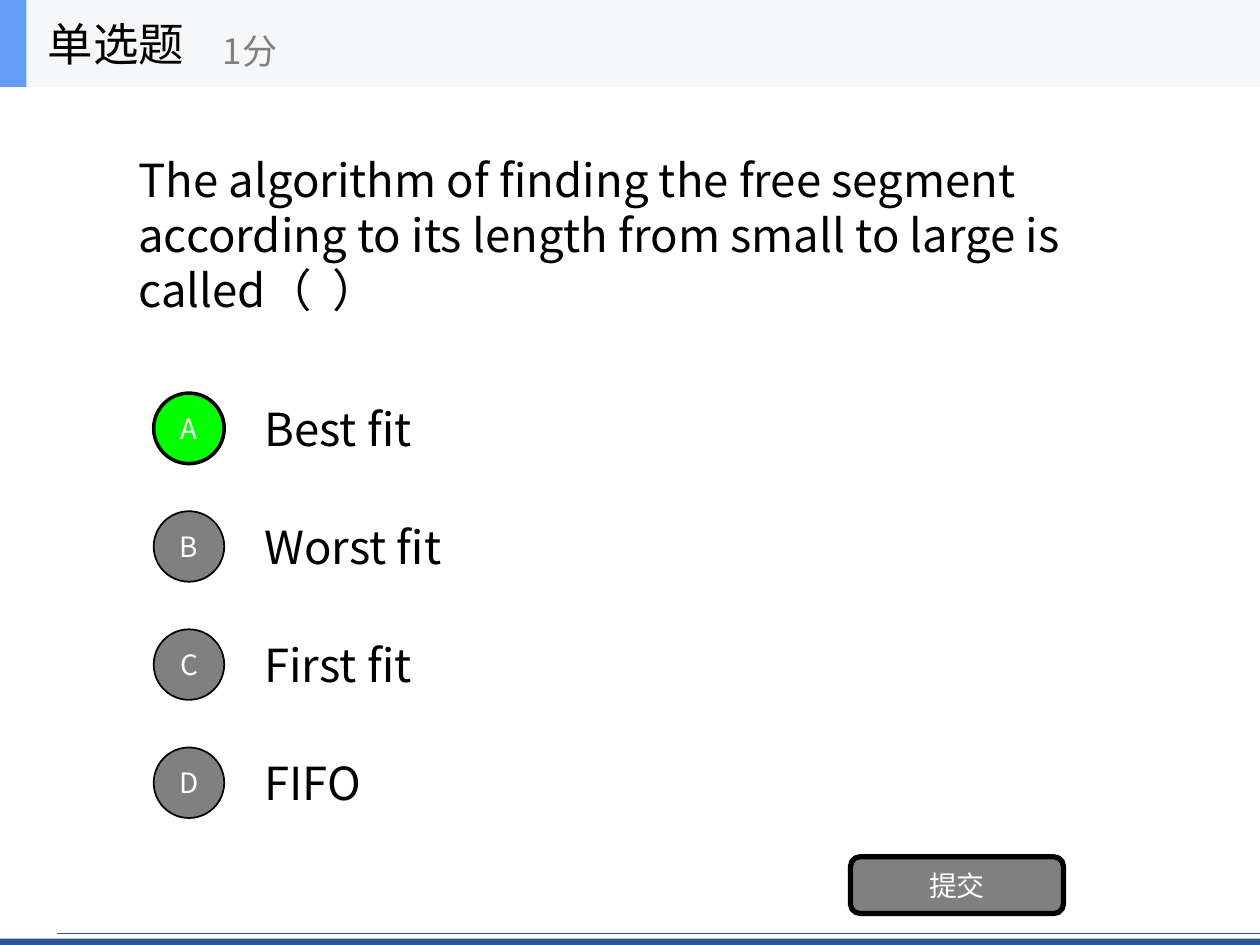
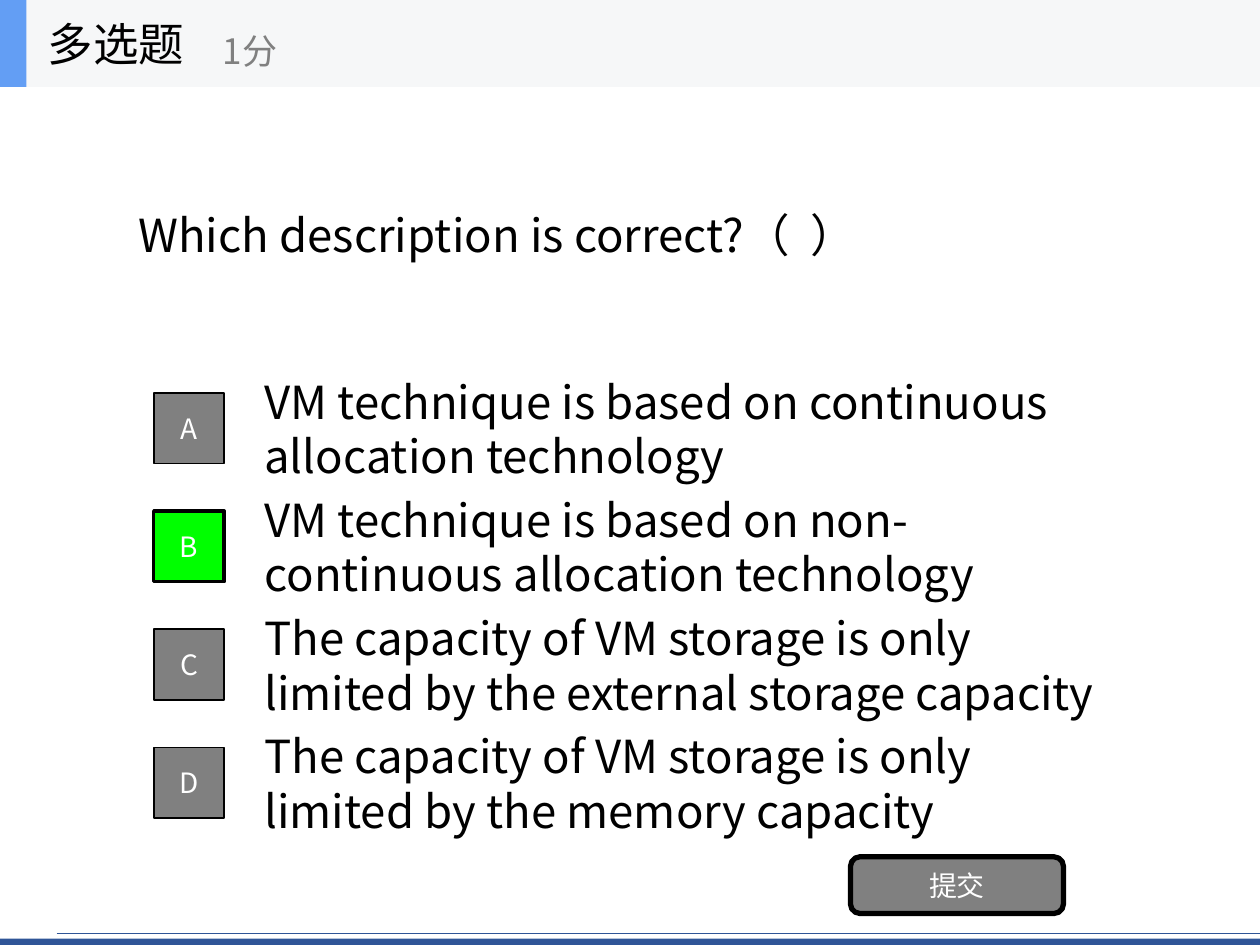
from pptx import Presentation
from pptx.dml.color import RGBColor
from pptx.enum.shapes import MSO_CONNECTOR, MSO_SHAPE
from pptx.enum.text import MSO_ANCHOR, MSO_AUTO_SIZE, PP_ALIGN
from pptx.oxml.ns import qn
from pptx.util import Inches, Pt
from lxml import etree

FONT = "Noto Sans CJK SC"
HUES = {
    "black": "000000", "white": "FFFFFF", "grey": "808080", "green": "00FF00",
    "navy": "2F5597", "blue": "639EF4", "pale": "F6F7F8",
}


def write(shape, text, size, hue, align=PP_ALIGN.LEFT):
    frame = shape.text_frame
    frame.text = text
    frame.word_wrap = True
    frame.auto_size = MSO_AUTO_SIZE.NONE
    frame.vertical_anchor = MSO_ANCHOR.MIDDLE
    para = frame.paragraphs[0]
    para.alignment = align
    para.font.size = Pt(size)
    para.font.color.rgb = RGBColor.from_string(HUES[hue])
    para.font.name = FONT
    for props in shape.element.iter(qn("a:defRPr")):
        etree.SubElement(props, qn("a:ea")).set("typeface", FONT)


def draw(slide, kind, place, fill, width=0):
    shape = slide.shapes.add_shape(kind, *map(Inches, place))
    shape.shadow.inherit = False
    shape.fill.solid()
    shape.fill.fore_color.rgb = RGBColor.from_string(HUES[fill])
    if width:
        shape.line.color.rgb = RGBColor.from_string(HUES["black"])
        shape.line.width = Pt(width)
    else:
        shape.line.fill.background()
    return shape


quiz = [
    ("单选题", MSO_SHAPE.OVAL, "A",
     "The algorithm of finding the free segment according to its length from small to large is called（  ）",
     ["Best fit", "Worst fit", "First fit", "FIFO"]),
    ("多选题", MSO_SHAPE.RECTANGLE, "B",
     "Which description is correct?（  ）",
     ["VM technique is based on continuous allocation technology",
      "VM technique is based on non-continuous allocation technology",
      "The capacity of VM storage is only limited by the external storage capacity",
      "The capacity of VM storage is only limited by the memory capacity"]),
]

deck = Presentation()
deck.slide_width = Inches(10)
deck.slide_height = Inches(7.5)

for heading, mark, right, ask, answers in quiz:
    slide = deck.slides.add_slide(deck.slide_layouts[5])

    draw(slide, MSO_SHAPE.RECTANGLE, (0, 7.45, 10, 0.05), "navy")
    rule = slide.shapes.add_connector(
        MSO_CONNECTOR.STRAIGHT, Inches(0.45), Inches(7.41), Inches(10), Inches(7.41))
    rule.line.color.rgb = RGBColor.from_string(HUES["navy"])
    rule.line.width = Pt(0.5)
    etree.SubElement(rule.element.spPr, qn("a:effectLst"))

    draw(slide, MSO_SHAPE.RECTANGLE, (0, 0, 10, 0.69), "pale")
    tab = draw(slide, MSO_SHAPE.RECTANGLE, (0, 0, 0.21, 0.69), "blue")
    title = slide.shapes.title
    title.left, title.top, title.width, title.height = map(Inches, (0.28, 0, 2.08, 0.69))
    write(title, heading, 26, "black")
    tab.element.addnext(title.element)
    score = slide.shapes.add_textbox(*map(Inches, (1.67, 0.12, 2.5, 0.56)))
    write(score, "1分", 20, "grey")

    body = slide.shapes.add_textbox(*map(Inches, (1, 0.69, 8, 2.34)))
    write(body, ask, 26, "black")

    for row, (letter, answer) in enumerate(zip("ABCD", answers)):
        top = 3.05 + row * 0.9375
        box = slide.shapes.add_textbox(*map(Inches, (2, top, 7, 0.7)))
        write(box, answer, 26, "black")
        fill, width = ("green", 2) if letter == right else ("grey", 1)
        badge = draw(slide, mark, (1.22, top + 0.07, 0.56, 0.56), fill, width)
        write(badge, letter, 16, "white", PP_ALIGN.CENTER)

    button = draw(slide, MSO_SHAPE.ROUNDED_RECTANGLE, (6.75, 6.8, 1.69, 0.45), "grey", 3)
    write(button, "提交", 16, "white", PP_ALIGN.CENTER)

deck.save("out.pptx")
